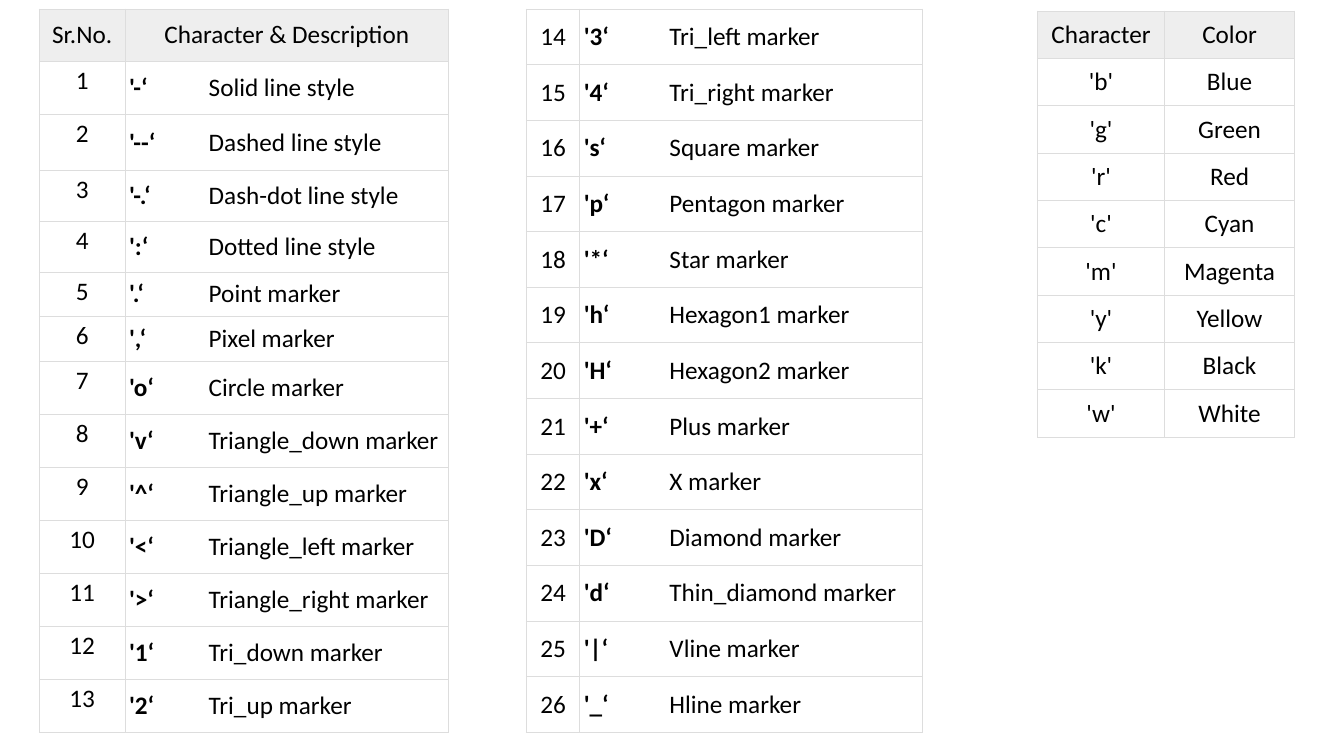
from lxml import etree
from pptx import Presentation
from pptx.dml.color import RGBColor
from pptx.enum.text import MSO_ANCHOR as Anchor, PP_ALIGN as Align
from pptx.oxml.ns import qn
from pptx.util import Inches, Pt

FONT, SIZE = "Calibri", 18
TEXT, HEADER_FILL, BORDER = "000000", "EEEEEE", "DDDDDD"

STYLE_HEADER = ("Sr.No.", "Character & Description")
STYLES = [
    ("-", "Solid line style"), ("--", "Dashed line style"),
    ("-.", "Dash-dot line style"), (":", "Dotted line style"),
    (".", "Point marker"), (",", "Pixel marker"), ("o", "Circle marker"),
    ("v", "Triangle_down marker"), ("^", "Triangle_up marker"),
    ("<", "Triangle_left marker"), (">", "Triangle_right marker"),
    ("1", "Tri_down marker"), ("2", "Tri_up marker"),
    ("3", "Tri_left marker"), ("4", "Tri_right marker"),
    ("s", "Square marker"), ("p", "Pentagon marker"), ("*", "Star marker"),
    ("h", "Hexagon1 marker"), ("H", "Hexagon2 marker"), ("+", "Plus marker"),
    ("x", "X marker"), ("D", "Diamond marker"), ("d", "Thin_diamond marker"),
    ("|", "Vline marker"), ("_", "Hline marker"),
]
FIRST_COUNT = 13

COLOR_HEADER = ("Character", "Color")
COLORS = [
    ("b", "Blue"), ("g", "Green"), ("r", "Red"), ("c", "Cyan"),
    ("m", "Magenta"), ("y", "Yellow"), ("k", "Black"), ("w", "White"),
]

STYLE_HEIGHT = 7.18
TOP_ROWS = [0.52, 0.53, 0.55, 0.51, 0.5, 0.44, 0.45]


def color(value):
    return RGBColor.from_string(value)


def write(cell, text, bold_lead="", align=Align.CENTER, anchor=Anchor.MIDDLE,
          margin=0.04, tab=None):
    """Fill a cell with text, after an optional bold lead and a tab stop."""
    cell.vertical_anchor = anchor
    cell.margin_left = cell.margin_right = Inches(margin)
    cell.margin_top = cell.margin_bottom = Inches(margin)
    para = cell.text_frame.paragraphs[0]
    para.alignment = align
    if tab:
        stops = etree.SubElement(para._p.get_or_add_pPr(), qn("a:tabLst"))
        etree.SubElement(stops, qn("a:tab"), pos=str(Inches(tab)), algn="l")
    parts = [(bold_lead + "\t", True)] if bold_lead else []
    for content, bold in parts + [(text, False)]:
        span = para.add_run()
        span.text = content
        span.font.name, span.font.size, span.font.bold = FONT, Pt(SIZE), bold
        span.font.color.rgb = color(TEXT)


def draw_borders(cell):
    properties = cell._tc.get_or_add_tcPr()
    for index, side in enumerate(("lnL", "lnR", "lnT", "lnB")):
        line = etree.Element(qn(f"a:{side}"), w=str(Pt(0.75)))
        fill = etree.SubElement(line, qn("a:solidFill"))
        etree.SubElement(fill, qn("a:srgbClr"), val=BORDER)
        properties.insert(index, line)


def add_grid(page, left, top, widths, heights, has_header):
    """Add an empty bordered table, shaded in its first row if it has a header."""
    table = page.shapes.add_table(
        len(heights), len(widths), Inches(left), Inches(top),
        Inches(sum(widths)), Inches(sum(heights))).table
    table.first_row = table.horz_banding = False
    for column, width in zip(table.columns, widths):
        column.width = Inches(width)
    for index, (row, height) in enumerate(zip(table.rows, heights)):
        row.height = Inches(height)
        for cell in row.cells:
            draw_borders(cell)
            if has_header and index == 0:
                cell.fill.solid()
                cell.fill.fore_color.rgb = color(HEADER_FILL)
            else:
                cell.fill.background()
    return table


def fill_styles(table, styles, start, first_row, tab, align, number_anchor):
    for offset, (mark, description) in enumerate(styles):
        row = first_row + offset
        write(table.cell(row, 0), str(start + offset), anchor=number_anchor)
        write(table.cell(row, 1), description, bold_lead=f"'{mark}‘",
              align=align, tab=tab)


def main():
    deck = Presentation()
    deck.slide_width, deck.slide_height = Inches(13.33), Inches(7.5)
    page = deck.slides.add_slide(deck.slide_layouts[6])

    first, second = STYLES[:FIRST_COUNT], STYLES[FIRST_COUNT:]
    equal_rows = len(first) + 1 - len(TOP_ROWS)
    heights = TOP_ROWS + [(STYLE_HEIGHT - sum(TOP_ROWS)) / equal_rows] * equal_rows
    table = add_grid(page, 0.39, 0.09, (0.85, 3.21), heights, True)
    for column, title in enumerate(STYLE_HEADER):
        write(table.cell(0, column), title)
    fill_styles(table, first, 1, 1, 0.79, Align.JUSTIFY, Anchor.TOP)

    heights = [STYLE_HEIGHT / len(second)] * len(second)
    table = add_grid(page, 5.22, 0.09, (0.53, 3.4), heights, False)
    fill_styles(table, second, FIRST_COUNT + 1, 0, 0.85, Align.LEFT, Anchor.MIDDLE)

    rows = [COLOR_HEADER] + [(f"'{mark}'", name) for mark, name in COLORS]
    table = add_grid(page, 10.29, 0.11, (1.26, 1.29), [0.47] * len(rows), True)
    for row, texts in enumerate(rows):
        for column, text in enumerate(texts):
            write(table.cell(row, column), text, margin=0.08)

    deck.save("out.pptx")


if __name__ == "__main__":
    main()
